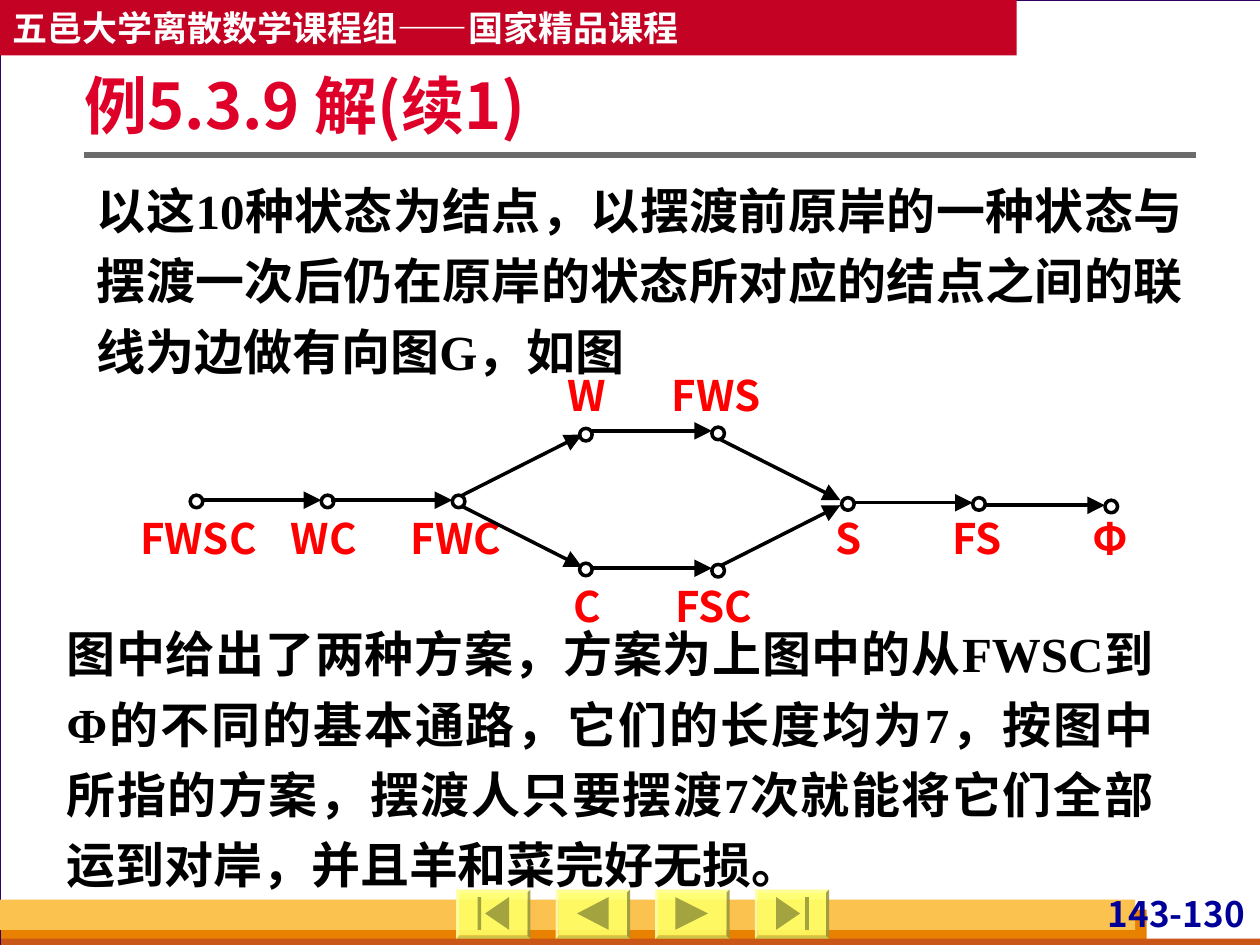
from lxml.etree import SubElement
from pptx import Presentation
from pptx.dml.color import RGBColor
from pptx.enum.shapes import MSO_CONNECTOR, MSO_SHAPE
from pptx.enum.text import MSO_ANCHOR, PP_ALIGN
from pptx.oxml.ns import qn
from pptx.util import Pt

EMU_PER_PX = 9144
SANS = "Noto Sans CJK SC"
SERIF = "Times New Roman"


def px(*values):
    return [v * EMU_PER_PX for v in values]


def rgb(value):
    return RGBColor.from_string(value)


def write(sp, text, size=24, color="000000", font=SANS, align=PP_ALIGN.LEFT,
          anchor=MSO_ANCHOR.TOP, spacing=None, insets=(10, 5, 10, 5)):
    tf = sp.text_frame
    tf.word_wrap = True
    tf.vertical_anchor = anchor
    tf.margin_left, tf.margin_top, tf.margin_right, tf.margin_bottom = px(*insets)
    p = tf.paragraphs[0]
    p.alignment = align
    if spacing:
        p.line_spacing = spacing
    r = p.add_run()
    r.text = text
    r.font.size = Pt(size)
    r.font.bold = True
    r.font.name = font
    r.font.color.rgb = rgb(color)
    SubElement(r.font._element, qn("a:ea"), typeface=SANS)


class Board:
    ink = "000000"
    label_color = "FF0000"
    button_color = "FFFF66"
    icon_color = "A3A33F"
    stroke = 2
    node_size = 10

    def __init__(self, slide):
        self.slide = slide

    def paint(self, sp, fill, line=None, width=1):
        sp.shadow.inherit = False
        sp.fill.solid()
        sp.fill.fore_color.rgb = rgb(fill)
        if line:
            sp.line.color.rgb = rgb(line)
            sp.line.width = Pt(width)
        else:
            sp.line.fill.background()
        return sp

    def shape(self, kind, box, fill, line=None, width=1):
        sp = self.slide.shapes.add_shape(kind, *px(*box))
        return self.paint(sp, fill, line, width)

    def rect(self, box, fill, line=None, width=1):
        return self.shape(MSO_SHAPE.RECTANGLE, box, fill, line, width)

    def text(self, box, text, **style):
        write(self.slide.shapes.add_textbox(*px(*box)), text, **style)

    def line(self, ends, color, width):
        c = self.slide.shapes.add_connector(MSO_CONNECTOR.STRAIGHT, *px(*ends))
        c.line.color.rgb = rgb(color)
        c.line.width = Pt(width)
        SubElement(c._element.spPr, qn("a:effectLst"))
        return c

    def arrow(self, ends):
        c = self.line(ends, self.ink, self.stroke)
        SubElement(c.line._get_or_add_ln(), qn("a:tailEnd"),
                   type="triangle", w="lg", len="lg")

    def node(self, x, y):
        self.shape(MSO_SHAPE.OVAL, (x, y, self.node_size, self.node_size),
                   "FFFFFF", self.ink, self.stroke)

    def label(self, box, text):
        self.text(box, text, color=self.label_color, align=PP_ALIGN.CENTER,
                  insets=(0, 0, 0, 0))

    def button(self, x, y, base, tip, bar=None):
        sp = self.shape(MSO_SHAPE.BEVEL, (x, y, 59, 39), self.button_color)
        sp.adjustments[0] = 0.06
        color = sp.fill._xPr.find(qn("a:solidFill"))[0]
        SubElement(color, qn("a:alpha"), val="90000")
        fb = self.slide.shapes.build_freeform(*px(x + base, y + 6), scale=1)
        fb.add_line_segments([px(x + tip, y + 19), px(x + base, y + 32)])
        self.paint(fb.convert_to_shape(), self.icon_color)
        if bar is not None:
            self.rect((x + bar, y + 6, 3, 26), self.icon_color)


NODES = [
    ("FWSC", (151, 393), (105, 407, 105, 48)),
    ("WC", (255, 393), (227, 407, 60, 48)),
    ("FWC", (359, 393), (319, 407, 86, 48)),
    ("W", (460, 340), (436, 293, 60, 47)),
    ("C", (460, 447), (436, 461, 60, 48)),
    ("FWS", (565, 339), (516, 293, 105, 47)),
    ("FSC", (565, 448), (514, 461, 105, 48)),
    ("S", (668, 395), (621, 407, 105, 48)),
    ("FS", (772, 395), (723, 407, 105, 48)),
    ("Φ", (877, 397), (851, 407, 60, 48)),
]
EDGES = [
    (160, 397, 255, 397), (263, 397, 359, 397),
    (367, 393, 462, 345), (367, 402, 462, 450),
    (470, 342, 565, 342), (470, 451, 565, 451),
    (572, 349, 667, 397), (572, 449, 667, 401),
    (677, 399, 772, 399), (781, 401, 877, 401),
]
BUTTONS = [(42, 23, 17), (42, 17, None), (16, 42, None), (17, 36, 40)]
BODY = dict(size=28, font=SERIF, align=PP_ALIGN.JUSTIFY, spacing=Pt(40.2),
            insets=(10, 9, 10, 5))


def main():
    prs = Presentation()
    prs.slide_width, prs.slide_height = px(1000, 750)
    s = prs.slides.add_slide(prs.slide_layouts[6])
    s.background.fill.solid()
    s.background.fill.fore_color.rgb = rgb("D8DADA")
    board = Board(s)

    board.rect((0, 0, 1001, 750), "FFFFFF", "330066", 0.75)
    header = board.rect((0, 0, 807, 44), "C30224")
    write(header, "五邑大学离散数学课程组——国家精品课程", size=20,
          color="FFFFFF", anchor=MSO_ANCHOR.MIDDLE)
    board.rect((1, 722, 909, 28), "E88000")
    board.rect((1, 745, 1000, 8), "C95616")
    board.rect((0, 714, 901, 24), "FCC24F")
    board.text((870, 708, 122, 33), "143-130", size=20, color="000099",
               align=PP_ALIGN.RIGHT, insets=(4, 0, 4, 0))
    board.line((67, 123, 949, 123), "6B6B6B", 3)
    for i, icon in enumerate(BUTTONS):
        board.button(362 + 79 * i, 706, *icon)

    board.text((67, 36, 882, 101), "例5.3.9 解(续1)", size=36, color="DF0029",
               anchor=MSO_ANCHOR.MIDDLE, spacing=0.9, insets=(0, 5, 10, 5))
    board.text((67, 125, 882, 178),
               "以这10种状态为结点，以摆渡前原岸的一种状态与摆渡一次后仍在原岸的状态"
               "所对应的结点之间的联线为边做有向图G，如图", **BODY)

    for name, corner, box in NODES:
        board.node(*corner)
        board.label(box, name)
    for ends in EDGES:
        board.arrow(ends)

    board.text((43, 477, 882, 234),
               "图中给出了两种方案，方案为上图中的从FWSC到Φ的不同的基本通路，"
               "它们的长度均为7，按图中所指的方案，摆渡人只要摆渡7次就能将它们"
               "全部运到对岸，并且羊和菜完好无损。", **BODY)
    prs.save("out.pptx")


if __name__ == "__main__":
    main()
